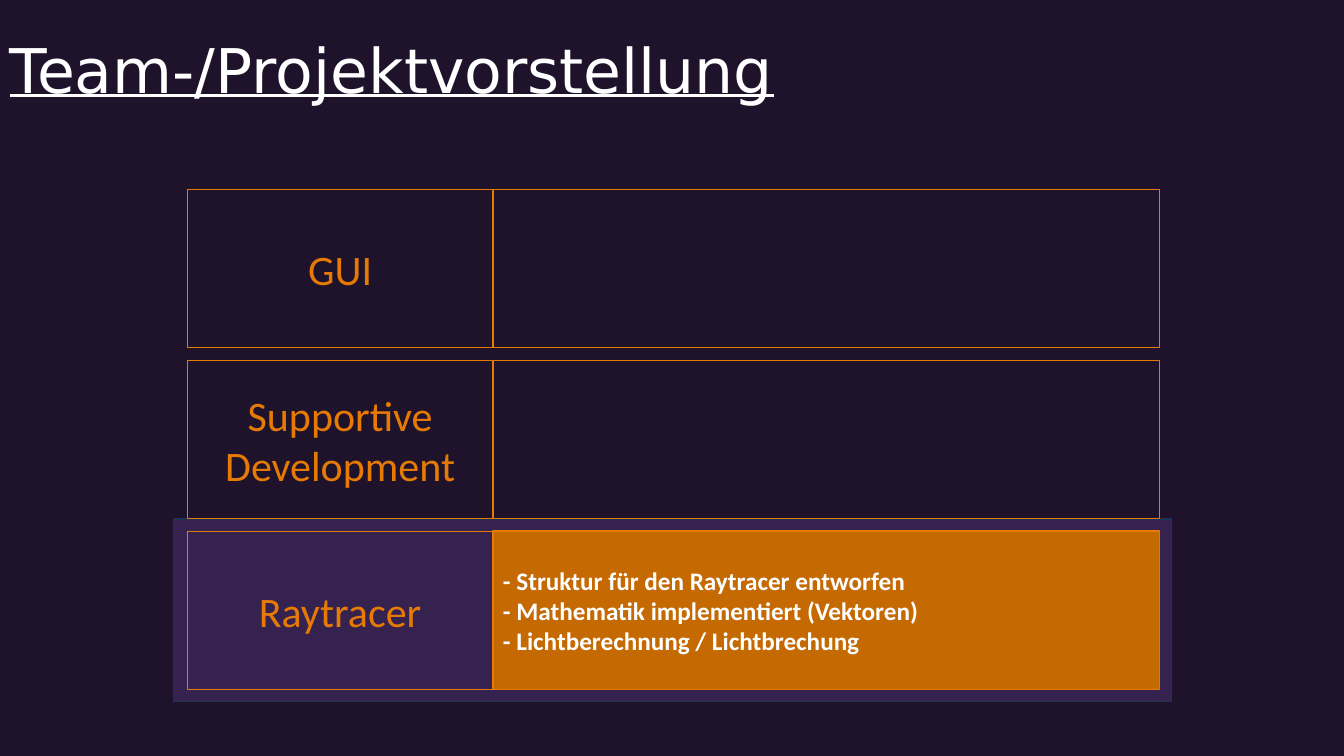
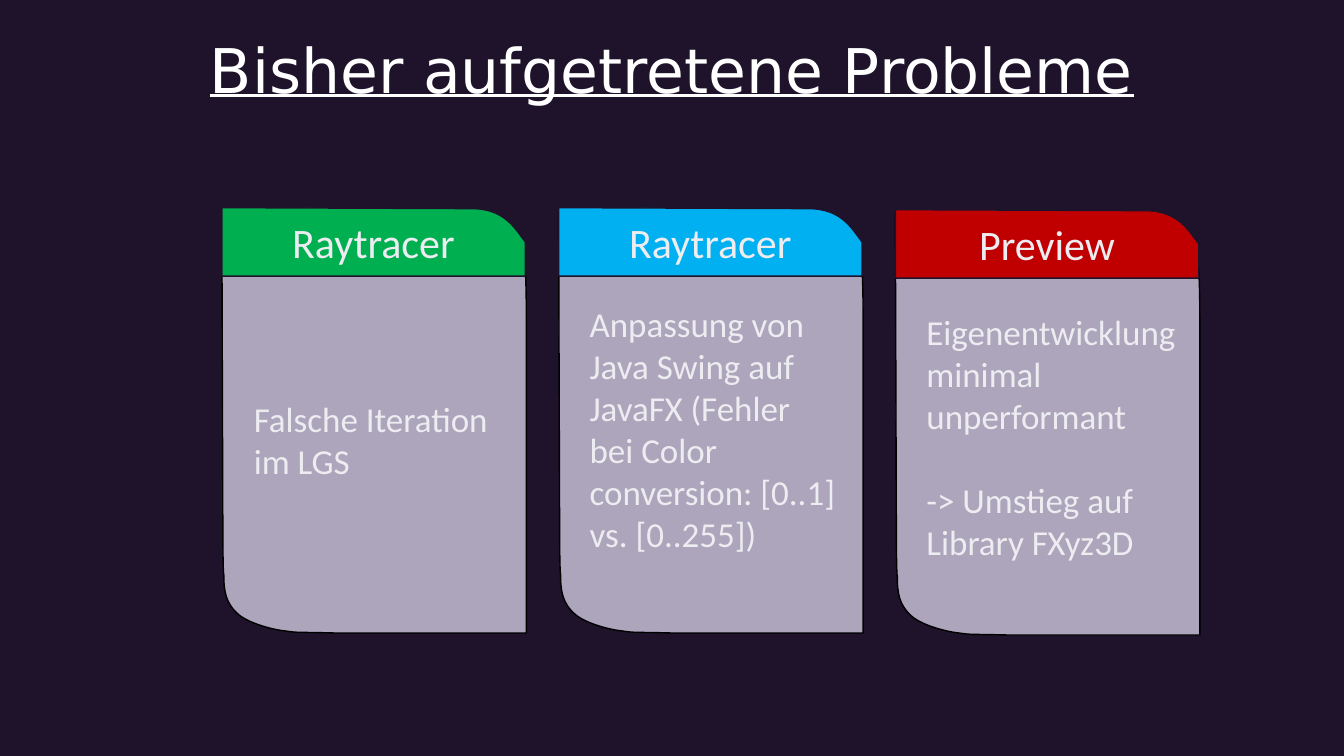
from lxml import etree
from pptx import Presentation
from pptx.dml.color import RGBColor
from pptx.enum.shapes import MSO_SHAPE
from pptx.enum.text import MSO_ANCHOR, PP_ALIGN
from pptx.oxml.ns import qn
from pptx.util import Inches, Pt

RECT = MSO_SHAPE.RECTANGLE
TOP, MIDDLE = MSO_ANCHOR.TOP, MSO_ANCHOR.MIDDLE
LEFT, CENTER = PP_ALIGN.LEFT, PP_ALIGN.CENTER

# Shared look
SLIDE_W, SLIDE_H = 13.33, 7.5
BACKGROUND, WHITE, PALE = "1E132B", "FFFFFF", "ECECF1"
ORANGE, DARK_ORANGE = "E67A04", "C56903"
BAND, BAND_EDGE = "36224F", "1E3256"
CARD, CARD_EDGE = "ADA5BB", "000000"
TITLE_FONT, BODY_FONT = "DejaVu Sans", "Calibri"

# Slide 1: team rows (label, tasks); the last row is highlighted
TEAM_TITLE = "Team-/Projektvorstellung"
TEAMS = [
    ("GUI", []),
    ("Supportive Development", []),
    ("Raytracer", [
        "- Struktur für den Raytracer entworfen",
        "- Mathematik implementiert (Vektoren)",
        "- Lichtberechnung / Lichtbrechung",
    ]),
]
ROW_X, LABEL_W, TASKS_W = 1.86, 3.03, 6.61
ROWS_TOP, ROWS_BOTTOM, ROW_H = 1.88, 6.84, 1.57

# Slide 2: problem cards (heading, colour, top, text box, paragraphs)
PROBLEM_TITLE = "Bisher aufgetretene Probleme"
PROBLEMS = [
    ("Raytracer", "00B050", 2.06, (2.42, 3.89, 2.6, 0.94),
     ["Falsche Iteration im LGS"]),
    ("Raytracer", "00B0F0", 2.06, (5.75, 2.95, 2.67, 2.63),
     ["Anpassung von Java Swing auf JavaFX (Fehler bei Color "
      "conversion: [0..1] vs. [0..255])"]),
    ("Preview", "C00000", 2.08, (9.09, 3.03, 2.69, 3.05),
     ["Eigenentwicklung minimal unperformant",
      "-> Umstieg auf Library FXyz3D"]),
]
CARD_X, CARD_PITCH = 2.2, 3.34
BLANK_LINE = 30  # points between paragraphs of a card

# Outlines from the card corner: 2 numbers are a line, 6 a Bézier curve
BODY_OUTLINE = [
    (0, 0.02), (2.21, 0.02), (2.46, 0.02),
    (2.57, 0.03, 2.74, 0.04, 2.86, 0.16),
    (2.95, 0.28, 3, 0.39, 3, 0.49),
    (3, 0.59, 3.02, 0.55, 3.02, 1.13),
    (3.02, 4.22), (1.12, 4.22),
    (0.73, 4.21, 0.77, 4.22, 0.63, 4.2),
    (0.52, 4.19, 0.28, 4.13, 0.17, 4.04),
    (0.04, 3.93, 0.02, 3.81, 0.02, 3.64),
    (0.02, 3.64, 0.01, 3.65, 0.01, 3.06),
]
HEADER_OUTLINE = [
    (0, 0), (2.48, 0.01),
    (2.82, 0.01, 2.92, 0.23, 3.01, 0.34),
    (3.01, 0.68), (0, 0.68),
]


def rgb(color):
    return RGBColor.from_string(color)


def style(sp, fill=None, line=None, width=1):
    sp.shadow.inherit = False
    if fill:
        sp.fill.solid()
        sp.fill.fore_color.rgb = rgb(fill)
    else:
        sp.fill.background()
    sp.line.color.rgb = rgb(line)
    sp.line.width = Pt(width)


def write(sp, paragraphs, size, color, align=LEFT, anchor=MIDDLE,
          font=BODY_FONT, bold=False, underline=False, spacing=1.0, gap=0):
    tf = sp.text_frame
    tf.word_wrap = True
    tf.vertical_anchor = anchor
    for i, text in enumerate(paragraphs):
        p = tf.add_paragraph() if i else tf.paragraphs[0]
        p.alignment = align
        p.line_spacing = spacing
        p.space_before = Pt(gap if i else 0)
        r = p.add_run()
        r.text = text
        r.font.name, r.font.size = font, Pt(size)
        r.font.bold, r.font.underline = bold, underline
        r.font.color.rgb = rgb(color)


def add_box(s, box, **look):
    sp = s.shapes.add_shape(RECT, *map(Inches, box))
    style(sp, **look)
    return sp


def add_text(s, box, paragraphs, size, color, **options):
    sp = s.shapes.add_textbox(*map(Inches, box))
    write(sp, paragraphs, size, color, **options)


def add_outline(s, x, y, outline, **look):
    """Draw the outline by its end points, then bend the curved segments."""
    def place(dx, dy):
        return Inches(x + dx), Inches(y + dy)

    ends = [place(*segment[-2:]) for segment in outline]
    builder = s.shapes.build_freeform(*ends[0], scale=1.0)
    builder.add_line_segments(ends[1:], close=True)
    sp = builder.convert_to_shape()
    lines = sp._element.xpath(".//a:lnTo")
    for line, segment in zip(lines, outline[1:]):
        if len(segment) == 2:
            continue
        line.tag = qn("a:cubicBezTo")
        for i, control in enumerate((segment[:2], segment[2:4])):
            cx, cy = place(*control)
            pt = etree.Element(qn("a:pt"), x=str(cx - sp.left),
                               y=str(cy - sp.top))
            line.insert(i, pt)
    style(sp, **look)
    return sp


def add_slide(prs, title, title_w, align):
    s = prs.slides.add_slide(prs.slide_layouts[6])
    s.background.fill.solid()
    s.background.fill.fore_color.rgb = rgb(BACKGROUND)
    add_text(s, (0, 0, title_w, 1.45), [title], 44, WHITE, align=align,
             font=TITLE_FONT, underline=True, spacing=0.9)
    return s


def build_teams(prs):
    s = add_slide(prs, TEAM_TITLE, 11.5, LEFT)
    # Band behind the highlighted row
    add_box(s, (1.72, 5.15, 9.9, 1.81), fill=BAND, line=BAND_EDGE)
    pitch = (ROWS_BOTTOM - ROWS_TOP - ROW_H) / (len(TEAMS) - 1)
    for i, (label, tasks) in enumerate(TEAMS):
        y = ROWS_TOP + i * pitch
        sp = add_box(s, (ROW_X, y, LABEL_W, ROW_H), line=ORANGE, width=0.75)
        write(sp, [label], 30, ORANGE, align=CENTER)
        sp = add_box(s, (ROW_X + LABEL_W, y, TASKS_W, ROW_H),
                     fill=DARK_ORANGE if tasks else None, line=ORANGE)
        if tasks:
            write(sp, tasks, 18, WHITE, bold=True)


def build_problems(prs):
    s = add_slide(prs, PROBLEM_TITLE, SLIDE_W, CENTER)
    for i, (heading, color, y, text_box, paragraphs) in enumerate(PROBLEMS):
        x = CARD_X + i * CARD_PITCH
        add_outline(s, x, y, BODY_OUTLINE, fill=CARD, line=CARD_EDGE)
        sp = add_outline(s, x, y, HEADER_OUTLINE, fill=color, line=BACKGROUND)
        write(sp, [heading], 30, PALE, align=CENTER)
        add_text(s, text_box, paragraphs, 25, PALE, anchor=TOP,
                 gap=BLANK_LINE)


def main():
    prs = Presentation()
    prs.slide_width, prs.slide_height = Inches(SLIDE_W), Inches(SLIDE_H)
    build_teams(prs)
    build_problems(prs)
    prs.save("out.pptx")


if __name__ == "__main__":
    main()
